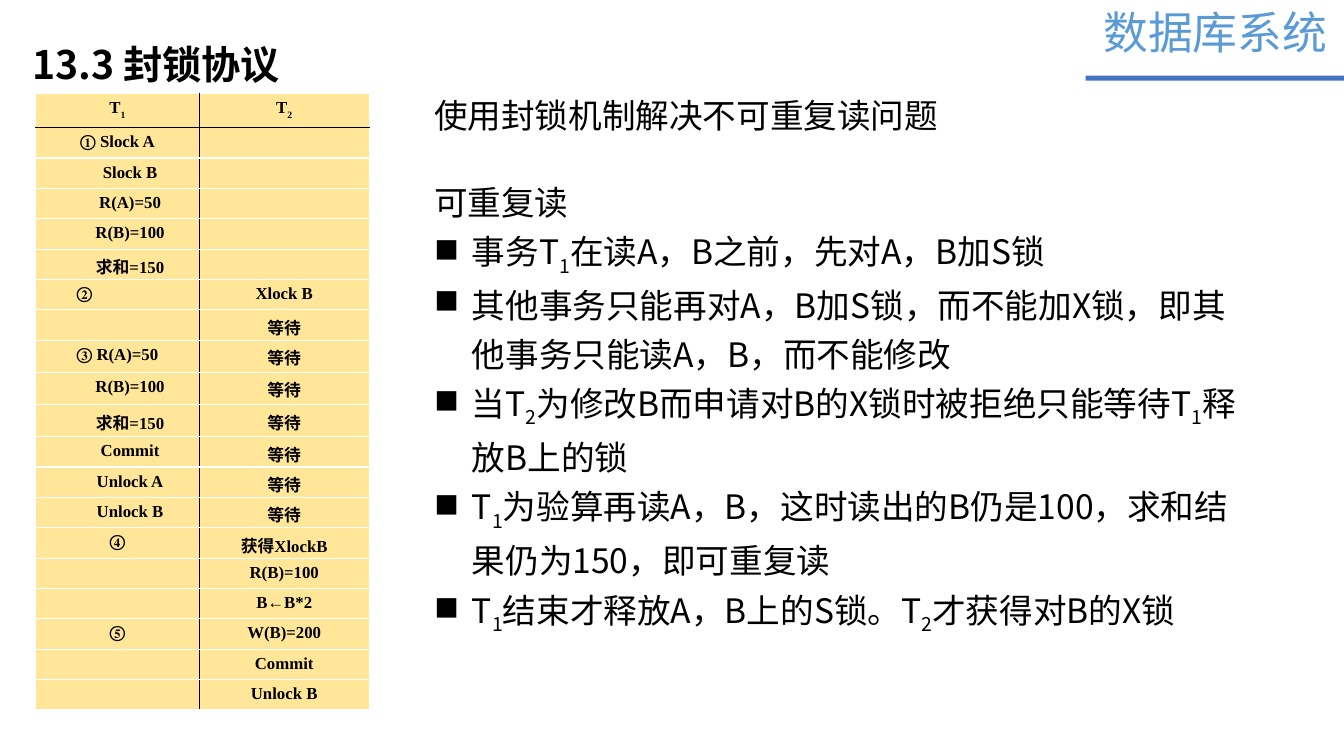
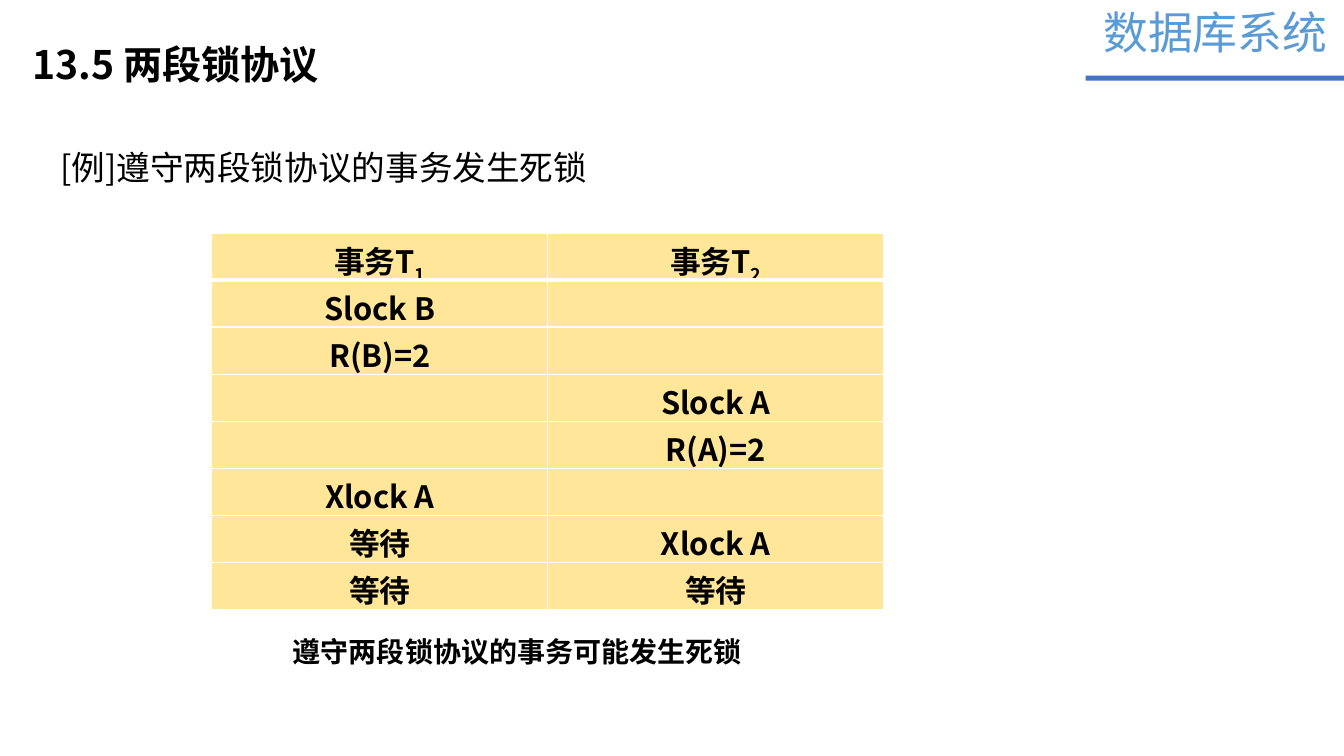
from lxml.etree import SubElement
from pptx import Presentation
from pptx.dml.color import RGBColor
from pptx.enum.shapes import MSO_SHAPE
from pptx.enum.text import MSO_ANCHOR, MSO_AUTO_SIZE, PP_ALIGN
from pptx.oxml.ns import qn
from pptx.util import Pt

SANS, SERIF = "Noto Sans CJK SC", "Times New Roman"
BLACK, WHITE, CREAM = "000000", "FFFFFF", "FFE699"
BAND_BLUE, COURSE_BLUE = "4472C4", "5B9BD5"
COURSE = "数据库系统"
STEP_INDENT, MARK_INDENT, BULLET_INDENT = 18, 22, 27

LOCK_TITLE = "13.3 封锁协议"
LOCK_HEADING = "使用封锁机制解决不可重复读问题"
LOCK_SUBHEADING = "可重复读"
LOCK_BULLETS = [
    "事务T_1在读A，B之前，先对A，B加S锁",
    "其他事务只能再对A，B加S锁，而不能加X锁，即其他事务只能读A，B，而不能修改",
    "当T_2为修改B而申请对B的X锁时被拒绝只能等待T_1释放B上的锁",
    "T_1为验算再读A，B，这时读出的B仍是100，求和结果仍为150，即可重复读",
    "T_1结束才释放A，B上的S锁。T_2才获得对B的X锁",
]
LOCK_ROWS = [
    ("T_1", "T_2"),
    ("① Slock A", ""),
    ("Slock B", ""),
    ("R(A)=50", ""),
    ("R(B)=100", ""),
    ("求和=150", ""),
    ("②", "Xlock B"),
    ("", "等待"),
    ("③ R(A)=50", "等待"),
    ("R(B)=100", "等待"),
    ("求和=150", "等待"),
    ("Commit", "等待"),
    ("Unlock A", "等待"),
    ("Unlock B", "等待"),
    ("④", "获得XlockB"),
    ("", "R(B)=100"),
    ("", "B←B*2"),
    ("⑤", "W(B)=200"),
    ("", "Commit"),
    ("", "Unlock B"),
]
LOCK_HEIGHTS = [24.5] + [21.7] * 7 + [23] * 3 + [21.7] * 9

DEADLOCK_TITLE = "13.5 两段锁协议"
DEADLOCK_EXAMPLE = "[例]遵守两段锁协议的事务发生死锁"
DEADLOCK_CAPTION = "遵守两段锁协议的事务可能发生死锁"
DEADLOCK_ROWS = [
    ("事务T_1", "事务T_2"),
    ("Slock B", ""),
    ("R(B)=2", ""),
    ("", "Slock A"),
    ("", "R(A)=2"),
    ("Xlock A", ""),
    ("等待", "Xlock A"),
    ("等待", "等待"),
]


def color(value):
    return RGBColor.from_string(value)


def write(paragraph, text, size, font=SANS, fill=BLACK, bold=False, drop=-25):
    def add(piece, baseline=0):
        run = paragraph.add_run()
        run.text = piece
        run.font.size = Pt(size)
        run.font.name = font
        run.font.bold = bold
        run.font.color.rgb = color(fill)
        properties = run._r.get_or_add_rPr()
        SubElement(properties, qn("a:ea")).set("typeface", SANS)
        if baseline:
            properties.set("baseline", str(baseline * 1000))

    first, *others = text.split("_")
    add(first)
    for other in others:
        add(other[0], drop)
        if other[1:]:
            add(other[1:])


def indent(paragraph, left, hanging=0, bullet=None):
    properties = paragraph._p.get_or_add_pPr()
    properties.set("marL", str(Pt(left)))
    properties.set("indent", str(-Pt(hanging)))
    if bullet:
        SubElement(properties, qn("a:buChar")).set("char", bullet)


def place(shape, box):
    shape.left, shape.top, shape.width, shape.height = (Pt(length) for length in box)


def add_text(slide, box, text, size, wrap=True, **style):
    frame = slide.shapes.add_textbox(*(Pt(length) for length in box)).text_frame
    frame.word_wrap = wrap
    write(frame.paragraphs[0], text, size, **style)
    return frame


def add_slide(presentation, title):
    slide = presentation.slides.add_slide(presentation.slide_layouts[5])
    band = slide.shapes.add_shape(MSO_SHAPE.RECTANGLE, Pt(775.5), Pt(54), Pt(184.5), Pt(3.6))
    band.shadow.inherit = False
    band.fill.solid()
    band.fill.fore_color.rgb = color(BAND_BLUE)
    band.line.fill.background()
    add_text(slide, (781, 0, 176.4, 46), COURSE, 32, wrap=False, fill=COURSE_BLUE)
    place(slide.shapes.title, (16, 8.6, 330, 52.6))
    frame = slide.shapes.title.text_frame
    frame.auto_size = MSO_AUTO_SIZE.NONE
    frame.vertical_anchor = MSO_ANCHOR.TOP
    paragraph = frame.paragraphs[0]
    paragraph.alignment = PP_ALIGN.LEFT
    paragraph.line_spacing = 1.5
    write(paragraph, title, 28, bold=True)
    return slide


def set_borders(cell, **edges):
    properties = cell._tc.get_or_add_tcPr()
    for position, side in enumerate("LRTB"):
        fill, width = edges.get(side, (WHITE, 1))
        line = properties.makeelement(qn(f"a:ln{side}"), {"w": str(Pt(width))})
        solid = SubElement(line, qn("a:solidFill"))
        SubElement(solid, qn("a:srgbClr")).set("val", fill)
        properties.insert(position, line)


def add_table(slide, left, top, widths, heights, rows, size, divider, header_line, **style):
    box = (left, top, sum(widths), sum(heights))
    table = slide.shapes.add_table(len(rows), len(widths), *(Pt(length) for length in box)).table
    for column, width in zip(table.columns, widths):
        column.width = Pt(width)
    for number, (row, height) in enumerate(zip(rows, heights)):
        table.rows[number].height = Pt(height)
        for side, text in enumerate(row):
            cell = table.cell(number, side)
            cell.margin_bottom = 0
            cell.fill.solid()
            cell.fill.fore_color.rgb = color(CREAM)
            edges = {"L" if side else "R": divider}
            if number < 2:
                edges["T" if number else "B"] = header_line
            set_borders(cell, **edges)
            paragraph = cell.text_frame.paragraphs[0]
            paragraph.alignment = PP_ALIGN.CENTER
            if text:
                write(paragraph, text, size, bold=True, **style)
            else:
                SubElement(paragraph._p, qn("a:endParaRPr")).set("sz", str(size * 100))
    return table


def build_lock_slide(presentation):
    slide = add_slide(presentation, LOCK_TITLE)
    table = add_table(slide, 25.5, 66.7, (116.8, 121.5), LOCK_HEIGHTS, LOCK_ROWS, 12,
                      (BLACK, 1), (BLACK, 1), font=SERIF, drop=-30)
    for number, (step, _) in enumerate(LOCK_ROWS):
        paragraph = table.cell(number, 0).text_frame.paragraphs[0]
        if step == "②":
            paragraph.alignment = PP_ALIGN.LEFT
            indent(paragraph, MARK_INDENT - 7.2 + 7.2)
        elif number and len(step) > 1 and step[0] not in "①③":
            indent(paragraph, STEP_INDENT)
    frame = add_text(slide, (303, 120.5, 601, 318), LOCK_SUBHEADING, 24)
    for text in LOCK_BULLETS:
        paragraph = frame.add_paragraph()
        indent(paragraph, BULLET_INDENT, BULLET_INDENT, "■")
        write(paragraph, text, 24)
    for paragraph in frame.paragraphs:
        paragraph.line_spacing = 1.2
    add_text(slide, (303, 64, 378, 36), LOCK_HEADING, 24, wrap=False)


def build_deadlock_slide(presentation):
    slide = add_slide(presentation, DEADLOCK_TITLE)
    add_table(slide, 151.3, 166.4, (240, 240), [33.6] * len(DEADLOCK_ROWS), DEADLOCK_ROWS, 22,
              (WHITE, 1), (WHITE, 3))
    example = add_text(slide, (36, 104.5, 648, 46), DEADLOCK_EXAMPLE, 24).paragraphs[0]
    example.line_spacing = 0.9
    example.space_before = Pt(10)
    caption = add_text(slide, (197, 450, 345, 31.5), DEADLOCK_CAPTION, 20, wrap=False,
                       font=SERIF, bold=True).paragraphs[0]
    caption.alignment = PP_ALIGN.CENTER


def main():
    presentation = Presentation()
    presentation.slide_width, presentation.slide_height = Pt(960), Pt(540)
    build_lock_slide(presentation)
    build_deadlock_slide(presentation)
    presentation.save("out.pptx")


if __name__ == "__main__":
    main()
